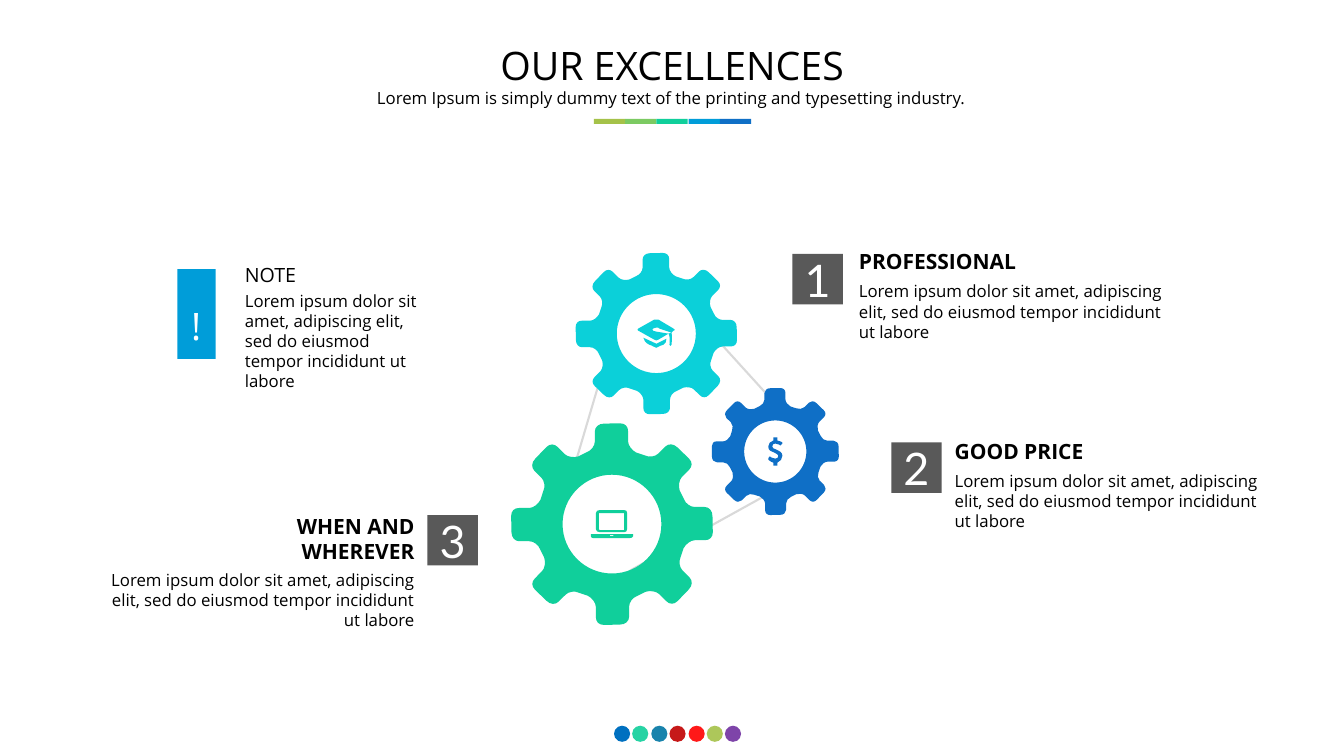
"""Build the "Our excellences" slide with three linked gears."""
from math import cos, pi, sin

from lxml import etree
from pptx import Presentation
from pptx import util as u
from pptx.dml.color import RGBColor
from pptx.enum import shapes, text
from pptx.oxml.ns import qn

PX = 9144
COLORS = {
    "black": "000000", "white": "FFFFFF", "badge": "595959", "link": "D9D9D9",
    "cyan": "0BD0D9", "blue": "0F6FC6", "green": "10CF9B", "sky": "009DD9",
    "leaf": "7CCA62", "olive": "A5C249", "azure": "0070C0", "teal": "0076A3",
    "crimson": "C00000", "red": "FF0000", "purple": "7030A0",
}
LOREM = ("Lorem ipsum dolor sit amet, adipiscing elit, "
         "sed do eiusmod tempor incididunt ut labore")
LEFT, CENTER, RIGHT = text.PP_ALIGN.LEFT, text.PP_ALIGN.CENTER, text.PP_ALIGN.RIGHT
TOP, MIDDLE = text.MSO_ANCHOR.TOP, text.MSO_ANCHOR.MIDDLE
RECT, OVAL = shapes.MSO_SHAPE.RECTANGLE, shapes.MSO_SHAPE.OVAL

TOOTH = [
    (8, -100), (13, -100, 16, -97, 16, -92), (16, -82),
    (16, -78, 20, -73, 24, -71), (33, -68),
    (37, -66, 43, -67, 46, -70), (53, -77), (56, -80, 61, -80, 65, -76),
]
HOLE = 49
ARC = [(HOLE, 27, 27, HOLE, 0, HOLE)]
CAP = [
    [(664, 342), (664, 343, 666, 344, 666, 342), (667, 333, 666, 330, 666, 330),
     (663, 331), (663, 331, 665, 333, 664, 342)],
    [(668, 326), (653, 317), (652, 317, 650, 317, 649, 317), (633, 326),
     (632, 327, 632, 328, 633, 328), (649, 337), (650, 338, 652, 338, 653, 337),
     (663, 331), (651, 329), (649, 329, 647, 328, 647, 327),
     (647, 326, 649, 325, 651, 325), (652, 325, 654, 325, 654, 326),
     (666, 330), (668, 328), (670, 328, 670, 327, 668, 326)],
    [(638, 335), (639, 338, 640, 340, 644, 342), (648, 343, 649, 345, 651, 345),
     (652, 345, 654, 343, 658, 342), (661, 340, 660, 340, 661, 336), (651, 341)],
]
DOLLAR = [
    [(771, 459), (771, 462), (767, 462), (767, 459),
     (764, 458, 762, 456, 762, 456), (762, 455), (763, 453), (764, 453),
     (764, 453, 766, 455, 769, 455), (771, 455, 772, 454, 772, 452),
     (772, 451, 770, 450, 768, 449), (765, 448, 762, 447, 762, 443),
     (762, 440, 764, 438, 767, 437), (767, 434), (771, 434), (771, 437),
     (774, 437, 775, 439, 776, 439), (776, 440), (774, 442),
     (774, 442, 772, 440, 769, 440), (767, 440, 766, 441, 766, 443),
     (766, 445, 768, 445, 770, 446), (773, 447, 776, 449, 776, 452),
     (776, 455, 774, 458, 771, 459)],
]
LAPTOP = [
    [(609, 531), (605, 531), (605, 532), (608, 532), (609, 532, 609, 532, 609, 531)],
    [(594, 525), (595, 526), (619, 526), (619, 509), (594, 509)],
    [(591, 525), (591, 509), (591, 507, 593, 506, 595, 506), (619, 506),
     (621, 506, 622, 507, 622, 509), (622, 525), (622, 527, 621, 528, 619, 528),
     (595, 528), (593, 528, 591, 527, 591, 525)],
    [(628, 530), (628, 532), (628, 533, 626, 534, 624, 534), (589, 534),
     (587, 534, 586, 533, 586, 532), (586, 530)],
]


def rgb(name):
    """Return the named colour."""
    return RGBColor.from_string(COLORS[name])


def paint(shape, color):
    """Give a shape a flat fill without outline or shadow."""
    shape.shadow.inherit = False
    shape.fill.solid()
    shape.fill.fore_color.rgb = rgb(color)
    shape.line.fill.background()


def add_block(slide, kind, box, color, opacity=100):
    """Draw a filled preset shape."""
    block = slide.shapes.add_shape(kind, *(v * PX for v in box))
    paint(block, color)
    if opacity < 100:
        tint = block.fill._xPr.find(qn("a:solidFill"))[0]
        etree.SubElement(tint, qn("a:alpha")).set("val", str(opacity * 1000))
    return block


def write(frame, words, size, color="black", align=LEFT, anchor=TOP,
          bold=False, font="Open Sans"):
    """Write one run into a text frame and return its paragraph."""
    frame.word_wrap = True
    frame.vertical_anchor = anchor
    line = frame.paragraphs[0]
    line.alignment = align
    run = line.add_run()
    run.text = words
    run.font.size, run.font.bold, run.font.name = u.Pt(size), bold, font
    run.font.color.rgb = rgb(color)
    return line


def add_label(slide, box, words, size, **style):
    """Add a text box and return its paragraph and frame."""
    frame = slide.shapes.add_textbox(*(v * PX for v in box)).text_frame
    return write(frame, words, size, **style), frame


def add_badge(slide, left, top, number):
    """Draw a grey square with a number."""
    frame = add_block(slide, RECT, (left, top, 50, 50), "badge").text_frame
    frame.margin_left = frame.margin_right = frame.margin_top = frame.margin_bottom = 0
    write(frame, number, 32, color="white", align=CENTER, anchor=MIDDLE, font="Lato")


def add_link(slide, start, end):
    """Draw a thin line between two gears."""
    link = slide.shapes.add_connector(
        shapes.MSO_CONNECTOR.STRAIGHT, *(v * PX for v in start + end))
    link.line.color.rgb = rgb("link")
    link.line.width = u.Pt(1.5)
    etree.SubElement(link._element.spPr, qn("a:effectLst"))


def add_outline(slide, contours, color):
    """Draw closed contours of lines and cubic curves as one filled shape."""
    builder = None
    for contour in contours:
        ends = [(step[-2] * PX, step[-1] * PX) for step in contour]
        if builder is None:
            builder = slide.shapes.build_freeform(*ends[0], scale=1.0)
        else:
            builder.move_to(*ends[0])
        builder.add_line_segments(ends[1:], close=True)
    outline = builder.convert_to_shape()
    paint(outline, color)
    steps = [step for contour in contours for step in contour[1:]]
    segments = list(outline._element.iter(qn("a:lnTo")))
    for segment, step in zip(segments, steps):
        if len(step) == 6:
            segment.tag = qn("a:cubicBezTo")
            for i in (0, 1):
                handle = segment.makeelement(qn("a:pt"))
                handle.set("x", str(round(step[2 * i] * PX) - outline.left))
                handle.set("y", str(round(step[2 * i + 1] * PX) - outline.top))
                segment.insert(i, handle)


def revolve(sector, count, center, radius):
    """Repeat a sector of a contour evenly around a center."""
    contour = []
    for i in range(count):
        c, s = cos(2 * pi * i / count), sin(2 * pi * i / count)
        for step in sector:
            turned = []
            for x, y in zip(step[::2], step[1::2]):
                turned += [center[0] + (x * c - y * s) * radius / 100,
                           center[1] + (x * s + y * c) * radius / 100]
            contour.append(tuple(turned))
    return contour


def add_gear(slide, center, radius, color, icon):
    """Draw an eight-toothed gear with an icon in its hole."""
    rim = revolve(TOOTH, 8, center, radius)
    hole = revolve([(HOLE, 0)], 1, center, radius) + revolve(ARC, 4, center, radius)
    add_outline(slide, [rim, hole], color)
    add_outline(slide, icon, color)


def main():
    """Build and save the slide."""
    deck = Presentation()
    deck.slide_width, deck.slide_height = 1333 * PX, 750 * PX
    slide = deck.slides.add_slide(deck.slide_layouts[6])

    for i, color in enumerate(("azure", "green", "teal", "crimson", "red", "olive", "purple")):
        add_block(slide, OVAL, (609 + round(i * 18.4), 720, 16, 16), color, 90 if i else 100)

    for start, end in (((676, 298), (794, 428)), ((791, 474), (625, 566)),
                       ((613, 316), (554, 516))):
        add_link(slide, start, end)
    add_gear(slide, (651, 331), 80, "cyan", CAP)
    add_gear(slide, (769, 448), 63, "blue", DOLLAR)
    add_gear(slide, (607, 520), 100, "green", LAPTOP)

    for number, name, badge, heading, body, align in (
            ("1", "PROFESSIONAL", (786, 252), (842, 242), (842, 274), LEFT),
            ("2", "GOOD PRICE", (884, 439), (937, 430), (937, 462), LEFT),
            ("3", "WHEN AND WHEREVER", (424, 511), (179, 504), (96, 560), RIGHT)):
        add_label(slide, (*body, 325, 89), LOREM, 12, align=align)
        add_label(slide, (*heading, 242, 32), name, 15, align=align, bold=True)
        add_badge(slide, *badge, number)

    add_block(slide, RECT, (176, 267, 38, 89), "sky")
    add_label(slide, (233, 283, 192, 108), LOREM, 12)
    add_label(slide, (233, 256, 242, 32), "NOTE", 14)
    mark, _ = add_label(slide, (166, 282, 57, 59), "!", 27, color="white",
                        align=CENTER, anchor=MIDDLE)
    mark.line_spacing = u.Pt(48)

    add_label(slide, (271, 40, 791, 49), "OUR EXCELLENCES", 28, align=CENTER, anchor=MIDDLE)
    _, subtitle = add_label(
        slide, (329, 82, 674, 30),
        "Lorem Ipsum is simply dummy text of the printing and typesetting industry.",
        12, align=CENTER)
    subtitle.auto_size = text.MSO_AUTO_SIZE.SHAPE_TO_FIT_TEXT
    for i, color in enumerate(("olive", "leaf", "green", "sky", "blue")):
        add_block(slide, RECT, (589 + round(i * 31.25), 118, 31, 5), color)

    deck.save("out.pptx")


if __name__ == "__main__":
    main()
